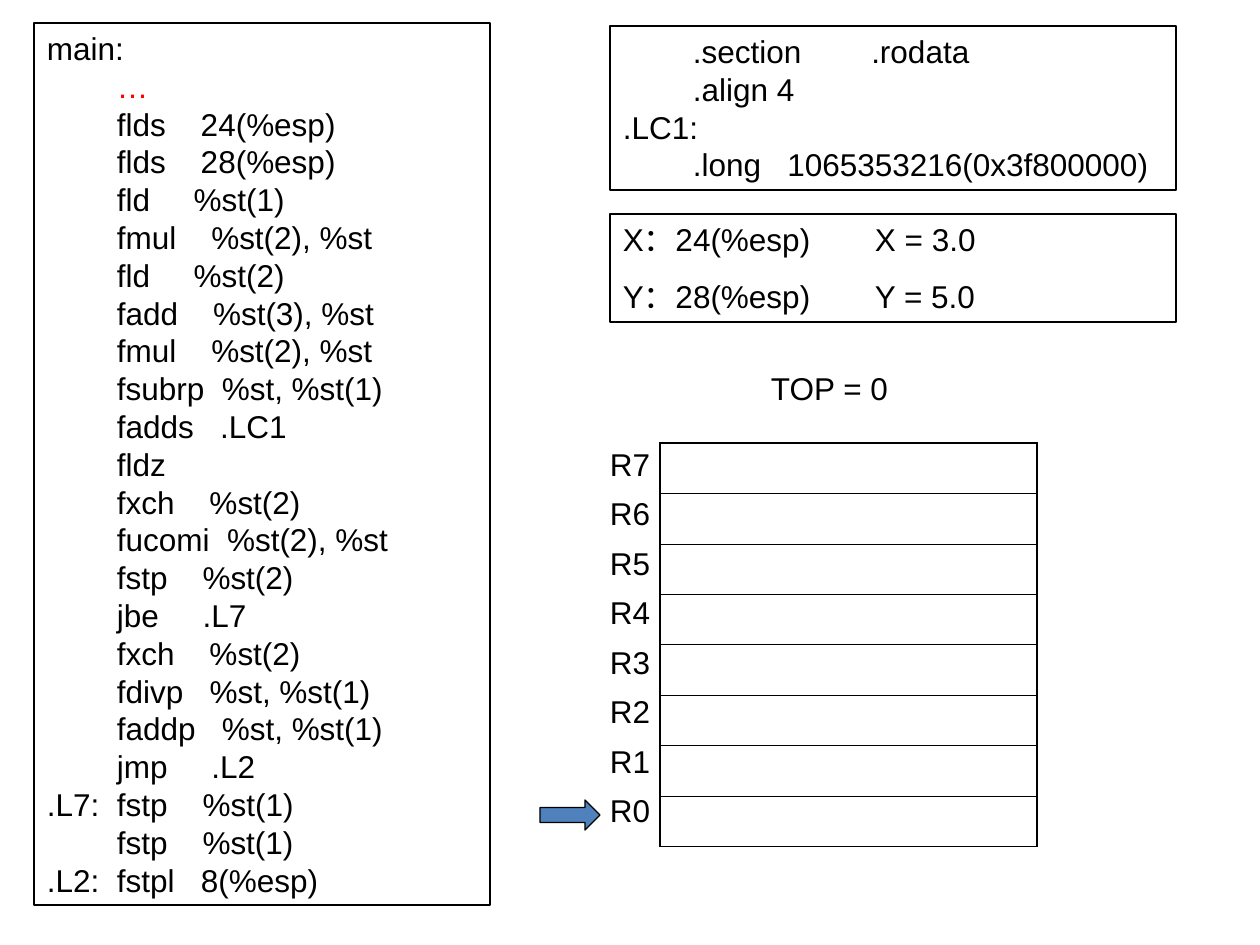
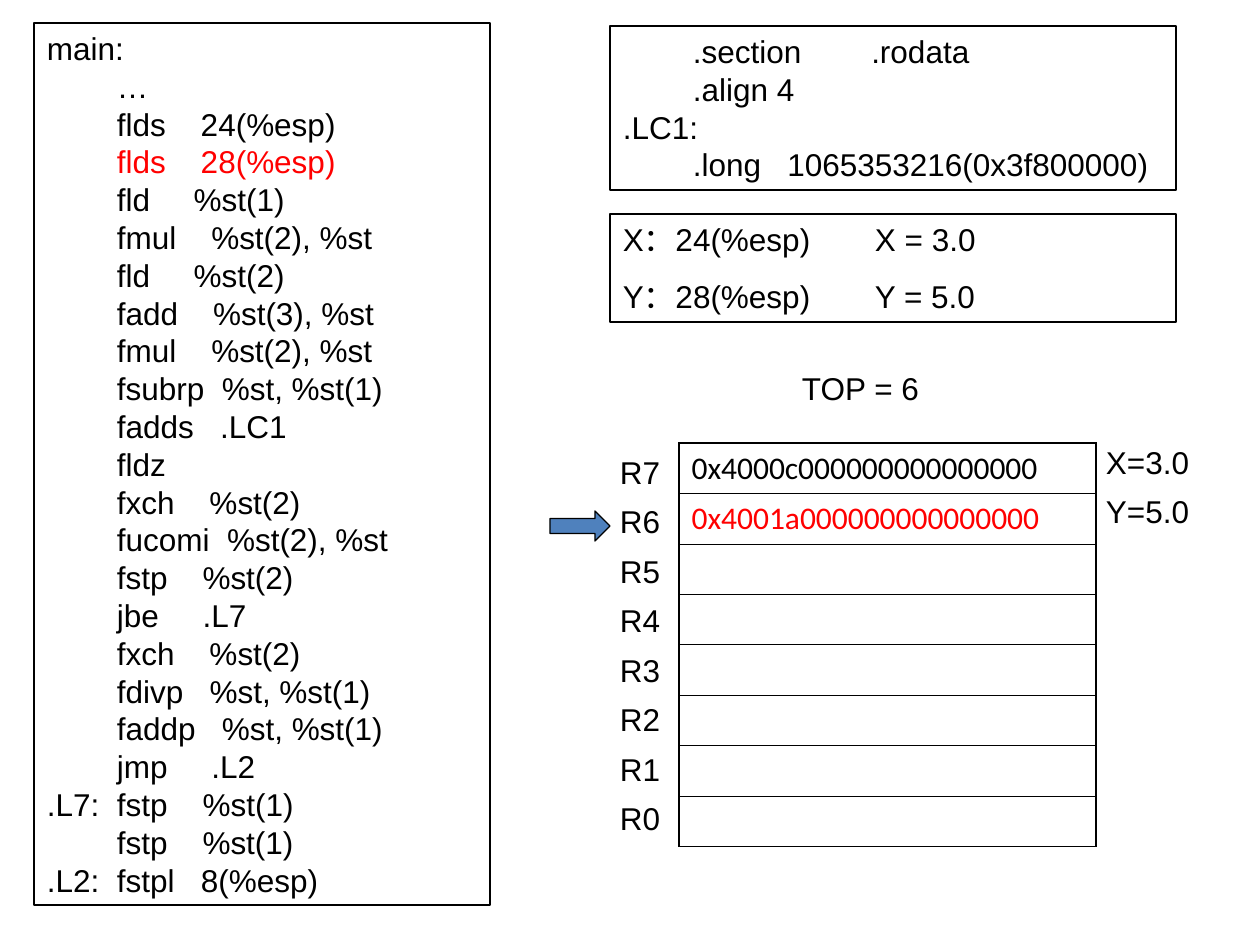
import pptx
import pptx.dml.color
import pptx.enum.shapes
import pptx.enum.text
import pptx.oxml
import pptx.oxml.ns
import pptx.util

PIXEL = 914400 / 126
BLACK, RED, BLUE = "000000", "FF0000", "4F81BD"
ROW_COUNT, ROW_HEIGHT, TABLE_TOP = 8, 50, 443
CODE = """main:
        …
        flds    24(%esp)
        flds    28(%esp)
        fld     %st(1)
        fmul    %st(2), %st
        fld     %st(2)
        fadd    %st(3), %st
        fmul    %st(2), %st
        fsubrp  %st, %st(1)
        fadds   .LC1
        fldz
        fxch    %st(2)
        fucomi  %st(2), %st
        fstp    %st(2)
        jbe     .L7
        fxch    %st(2)
        fdivp   %st, %st(1)
        faddp   %st, %st(1)
        jmp     .L2
.L7:  fstp    %st(1)
        fstp    %st(1)
.L2:  fstpl   8(%esp)"""
CONSTANTS = """        .section        .rodata
        .align 4
.LC1:
        .long   1065353216(0x3f800000)"""
VARIABLES = "X：24(%esp)\tX = 3.0\nY：28(%esp)\tY = 5.0"


def px(length):
    """Turn pixels into EMU."""
    return pptx.util.Emu(round(length * PIXEL))


def place(*lengths):
    """Turn several pixel lengths into EMU."""
    return [px(length) for length in lengths]


def color(value):
    """Turn a hex string into a colour."""
    return pptx.dml.color.RGBColor.from_string(value)


def format_runs(para, font_name, value):
    """Give the runs of a paragraph their font."""
    for span in para.runs:
        span.font.name = font_name
        span.font.size = pptx.util.Pt(18)
        span.font.color.rgb = color(value)


def add_tab_stop(para, position):
    """Add one left tab stop to a paragraph."""
    properties = para._p.get_or_add_pPr()
    namespace = pptx.oxml.ns.nsdecls("a")
    properties.append(pptx.oxml.parse_xml(
        f'<a:tabLst {namespace}><a:tab pos="{px(position)}" algn="l"/></a:tabLst>'))


def write_text(box, text, margins=(13, 6), red_line=None, gap=0, tab=None):
    """Fill a box with left-aligned lines."""
    frame = box.text_frame
    frame.text = text
    frame.word_wrap = True
    frame.vertical_anchor = pptx.enum.text.MSO_ANCHOR.TOP
    frame.margin_left = frame.margin_right = px(margins[0])
    frame.margin_top = frame.margin_bottom = px(margins[1])
    for index, para in enumerate(frame.paragraphs):
        if tab:
            add_tab_stop(para, tab)
        para.alignment = pptx.enum.text.PP_ALIGN.LEFT
        para.line_spacing = pptx.util.Pt(21.6)
        if index and gap:
            para.space_before = pptx.util.Pt(gap)
        format_runs(para, "Arial", RED if index == red_line else BLACK)


def add_outlined(slide, kind, left, top, width, height):
    """Add an unfilled shape with a thin black outline."""
    shape = slide.shapes.add_shape(kind, *place(left, top, width, height))
    shape.shadow.inherit = False
    shape.fill.background()
    shape.line.color.rgb = color(BLACK)
    shape.line.width = pptx.util.Pt(0.75)
    return shape


def add_panel(slide, left, top, width, height, text, **options):
    """Add an outlined rectangle with text."""
    kind = pptx.enum.shapes.MSO_SHAPE.RECTANGLE
    write_text(add_outlined(slide, kind, left, top, width, height), text, **options)


def add_label(slide, left, top, width, height, text, margins=(0, 0)):
    """Add a plain line of text."""
    box = slide.shapes.add_textbox(*place(left, top, width, height))
    write_text(box, text, margins)


def add_pointer(slide, left, top):
    """Add the arrow that points at the top register."""
    kind = pptx.enum.shapes.MSO_SHAPE.RIGHT_ARROW
    arrow = add_outlined(slide, kind, left, top, 60, 30)
    arrow.fill.solid()
    arrow.fill.fore_color.rgb = color(BLUE)


def add_border(cell, side, width):
    """Draw one side of a table cell."""
    namespace = pptx.oxml.ns.nsdecls("a")
    cell._tc.get_or_add_tcPr().append(pptx.oxml.parse_xml(
        f'<a:ln{side} {namespace} w="{pptx.util.Pt(width)}"><a:solidFill>'
        f'<a:srgbClr val="{BLACK}"/></a:solidFill></a:ln{side}>'))


def add_register_table(slide, left, width, values):
    """Add the register stack, with the last value in red."""
    frame = slide.shapes.add_table(
        ROW_COUNT, 1, *place(left, TABLE_TOP, width, ROW_COUNT * ROW_HEIGHT))
    table = frame.table
    table.first_row = table.horz_banding = False
    for index in range(ROW_COUNT):
        cell = table.cell(index, 0)
        borders = {"L": 1.08, "R": 1.08,
                   "T": 0.45 if index else 1.08,
                   "B": 0.45 if index < ROW_COUNT - 1 else 1.08}
        for side, thickness in borders.items():
            add_border(cell, side, thickness)
        cell.fill.background()
        if index < len(values):
            cell.text_frame.text = values[index]
            last = index == len(values) - 1
            format_runs(cell.text_frame.paragraphs[0], "Calibri", RED if last else BLACK)


def label_top(start, index):
    """Give the top of the label at a row."""
    return start + index * 99 // 2


def add_state_slide(deck, red_line, top, heading, labels, table, values=(), notes=()):
    """Add a slide with the code and one state of the register stack."""
    slide = deck.slides.add_slide(deck.slide_layouts[6])
    add_panel(slide, 34, 23, 456, 882, CODE, red_line=red_line)
    add_panel(slide, 610, 26, 566, 164, CONSTANTS)
    add_panel(slide, 610, 214, 566, 108, VARIABLES, gap=11.2, tab=252)
    add_label(slide, heading, 363, 155, 50, f"TOP = {top}", (13, 6))
    add_register_table(slide, *table, values)
    label_left, label_start = labels
    for index in range(ROW_COUNT):
        register = ROW_COUNT - 1 - index
        row_top = label_top(label_start, index)
        add_label(slide, label_left, row_top, 49, 38, f"R{register}")
        if register == top:
            add_pointer(slide, label_left - 70, row_top + 9)
    for index, note in enumerate(notes):
        add_label(slide, 1106, label_top(TABLE_TOP, index), 100, 38, note)


def main():
    """Build and save the deck."""
    deck = pptx.Presentation()
    deck.slide_width, deck.slide_height = place(1260, 945)
    add_state_slide(deck, 1, 0, 758, (610, 445), (660, 377))
    add_state_slide(deck, 3, 6, 789, (620, 453), (679, 417),
                    ("0x4000c000000000000000", "0x4001a000000000000000"),
                    ("X=3.0", "Y=5.0"))
    deck.save("out.pptx")


if __name__ == "__main__":
    main()
